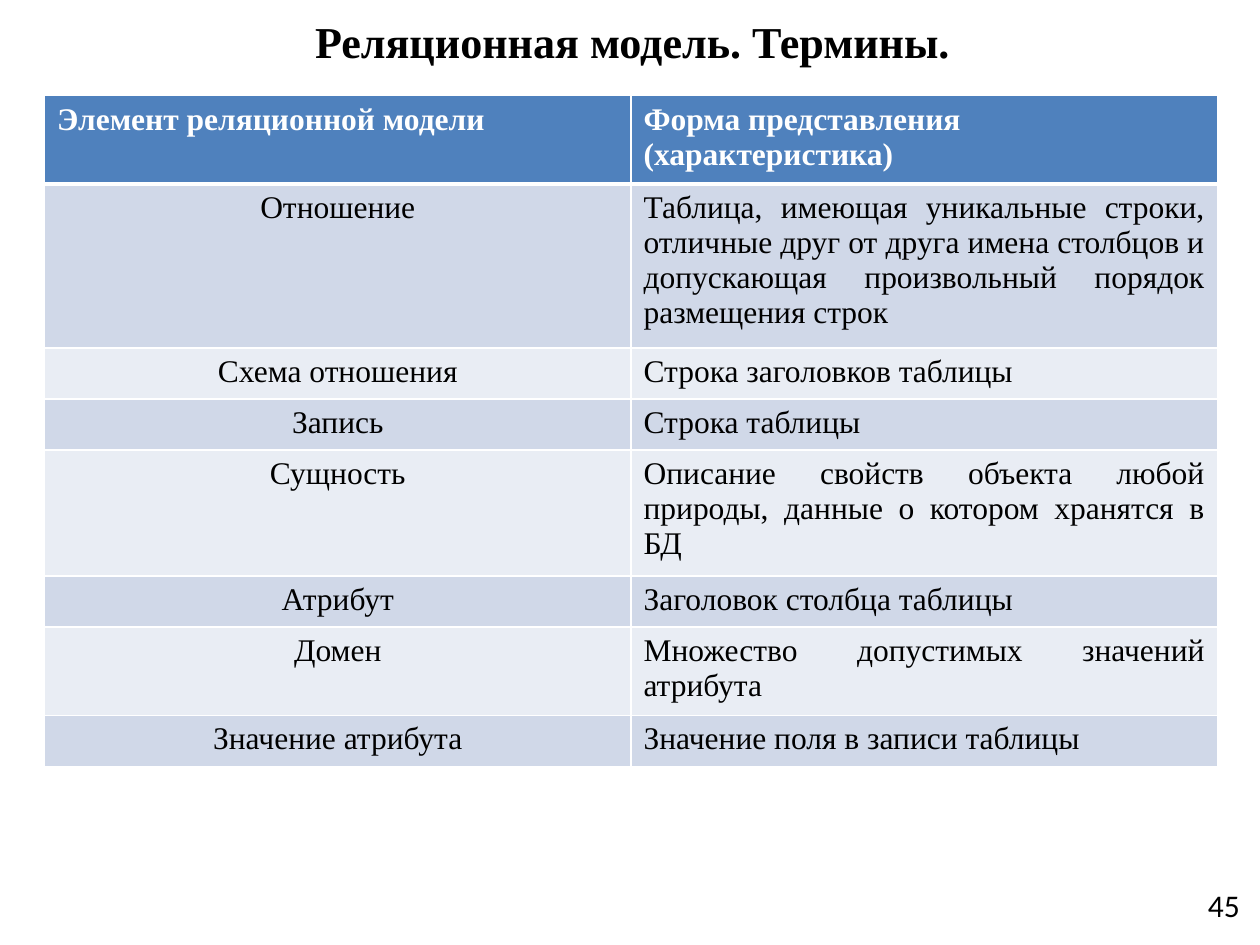
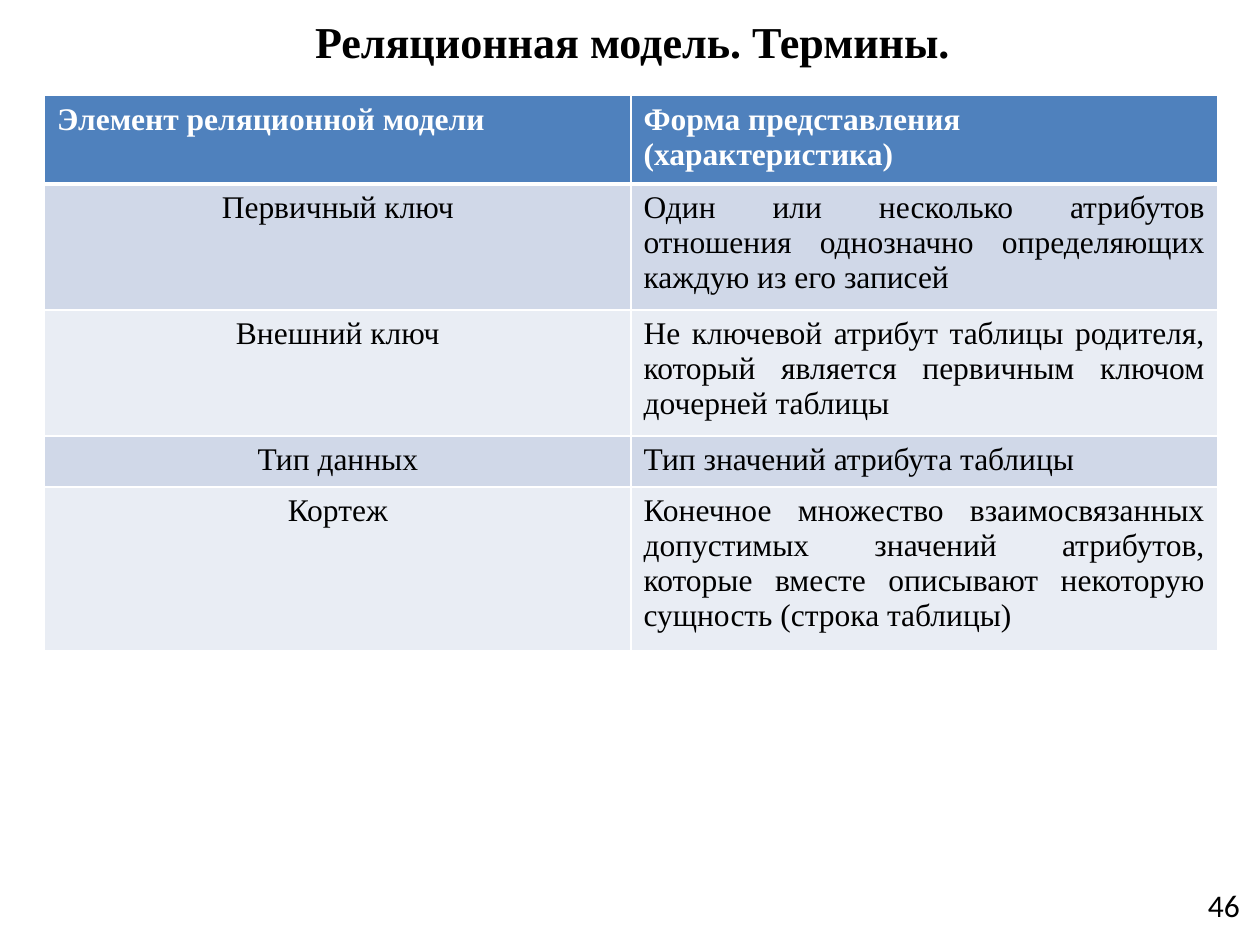
from lxml import etree
from pptx import Presentation
from pptx import util as u
from pptx.dml.color import RGBColor
from pptx.enum import text
from pptx.oxml.ns import qn

TITLE = "Реляционная модель. Термины."
HEADER = ("Элемент реляционной модели", "Форма представления (характеристика)", 2)
PAGES = [
    (45, [
        ("Отношение", "Таблица, имеющая уникальные строки, отличные друг от друга имена "
                      "столбцов и допускающая произвольный порядок размещения строк", 4),
        ("Схема отношения", "Строка заголовков таблицы", 1),
        ("Запись", "Строка таблицы", 1),
        ("Сущность", "Описание свойств объекта любой природы, данные о котором хранятся в БД", 3),
        ("Атрибут", "Заголовок столбца таблицы", 1),
        ("Домен", "Множество допустимых значений атрибута", 2),
        ("Значение атрибута", "Значение поля в записи таблицы", 1),
    ]),
    (46, [
        ("Первичный ключ", "Один или несколько атрибутов отношения однозначно определяющих "
                           "каждую из его записей", 3),
        ("Внешний ключ", "Не ключевой атрибут таблицы родителя, который является первичным "
                         "ключом дочерней таблицы", 3),
        ("Тип данных", "Тип значений атрибута таблицы", 1),
        ("Кортеж", "Конечное множество взаимосвязанных допустимых значений атрибутов, "
                   "которые вместе описывают некоторую сущность (строка таблицы)", 4),
    ]),
]

SERIF, SANS = "Times New Roman", "Calibri"
BLACK, WHITE, BLUE = "000000", "FFFFFF", "4F81BD"
BANDS = ("D0D8E8", "E9EDF4")
ROW_HEIGHT, EXTRA_LINE = 1.03, 0.75
COLUMN_WIDTH = 11.82
ALIGN = text.PP_ALIGN


def color(code):
    return RGBColor.from_string(code)


def write(frame, words, size, face, ink, bold=False, align=ALIGN.LEFT):
    para = frame.paragraphs[0]
    para.alignment = align
    span = para.add_run()
    span.text = words
    span.font.size = u.Pt(size)
    span.font.name = face
    span.font.bold = bold
    span.font.color.rgb = color(ink)


def add_text(page, place, words, size, face, wrap=True, **style):
    frame = page.shapes.add_textbox(*map(u.Cm, place)).text_frame
    frame.word_wrap = wrap
    frame.vertical_anchor = text.MSO_ANCHOR.MIDDLE if wrap else text.MSO_ANCHOR.TOP
    frame.auto_size = text.MSO_AUTO_SIZE.NONE if wrap else text.MSO_AUTO_SIZE.SHAPE_TO_FIT_TEXT
    write(frame, words, size, face, BLACK, **style)


def set_borders(cell, widths):
    properties = cell._tc.get_or_add_tcPr()
    for position, (side, width) in enumerate(widths.items()):
        line = etree.Element(qn("a:" + side), w=str(u.Pt(width)))
        fill = etree.SubElement(line, qn("a:solidFill"))
        etree.SubElement(fill, qn("a:srgbClr"), val=WHITE)
        properties.insert(position, line)


def add_terms(page, terms):
    rows = [HEADER] + terms
    heights = [ROW_HEIGHT + EXTRA_LINE * (lines - 1) for _, _, lines in rows]
    frame = page.shapes.add_table(len(rows), 2, u.Cm(0.9), u.Cm(1.93),
                                  u.Cm(2 * COLUMN_WIDTH), u.Cm(sum(heights)))
    table = frame.table
    for column in table.columns:
        column.width = u.Cm(COLUMN_WIDTH)
    for index, (term, meaning, _) in enumerate(rows):
        header = index == 0
        table.rows[index].height = u.Cm(heights[index])
        aligns = (ALIGN.LEFT, ALIGN.LEFT) if header else (ALIGN.CENTER, ALIGN.JUSTIFY)
        for place, words in enumerate((term, meaning)):
            cell = table.cell(index, place)
            cell.fill.solid()
            cell.fill.fore_color.rgb = color(BLUE if header else BANDS[(index - 1) % 2])
            set_borders(cell, {"lnL": 1, "lnR": 1, "lnT": 3 if index == 1 else 1,
                               "lnB": 3 if header else 1})
            write(cell.text_frame, words, 18, SERIF, WHITE if header else BLACK,
                  bold=header, align=aligns[place])


def main():
    deck = Presentation()
    deck.slide_width, deck.slide_height = u.Cm(25.4), u.Cm(19.05)
    for number, terms in PAGES:
        page = deck.slides.add_slide(deck.slide_layouts[6])
        add_text(page, (0.56, 0.13, 24.38, 1.4), TITLE, 25.2, SERIF,
                 bold=True, align=ALIGN.CENTER)
        add_text(page, (24.1, 17.73, 1.17, 1.02), str(number), 18, SANS, wrap=False)
        add_terms(page, terms)
    deck.save("out.pptx")


if __name__ == "__main__":
    main()
